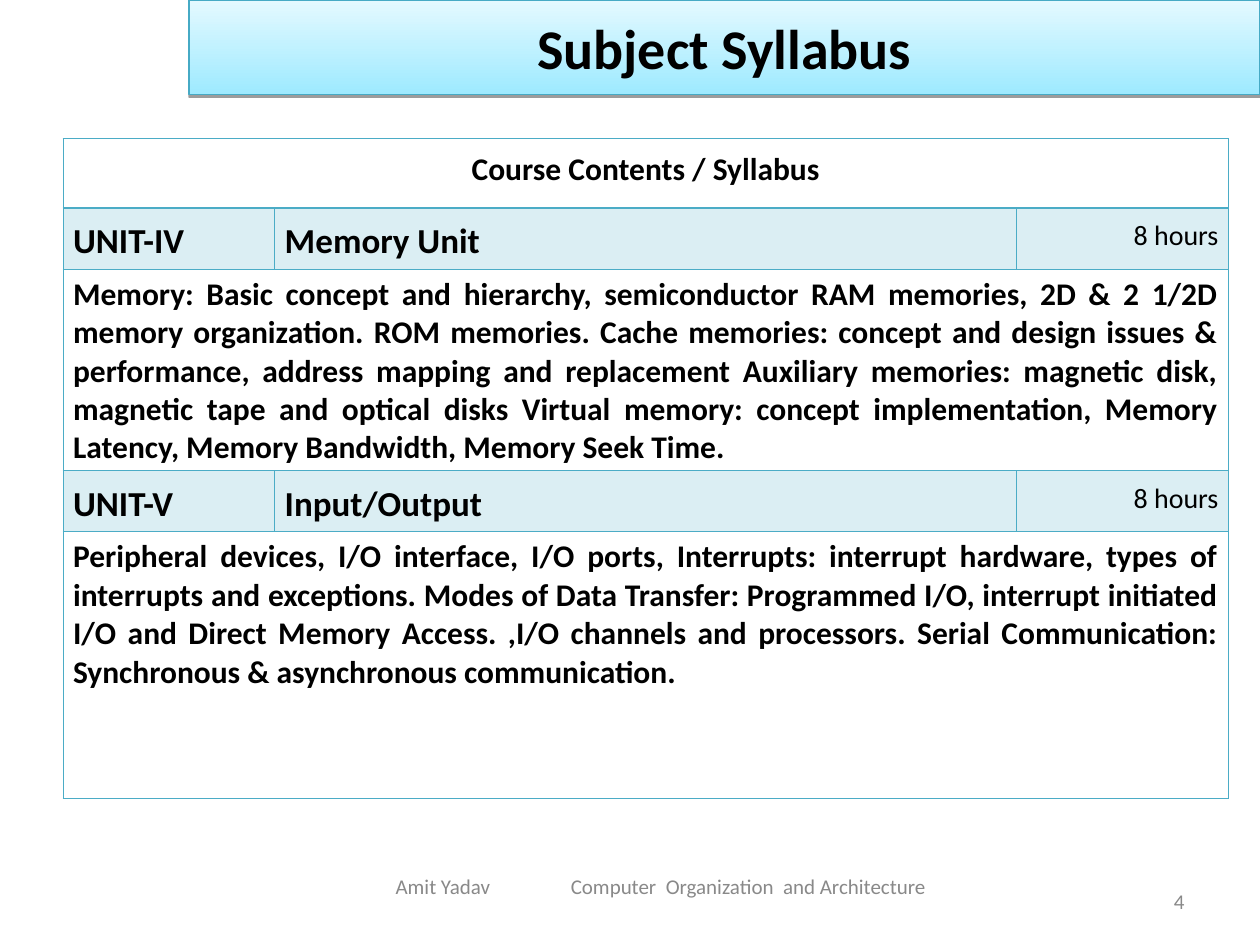
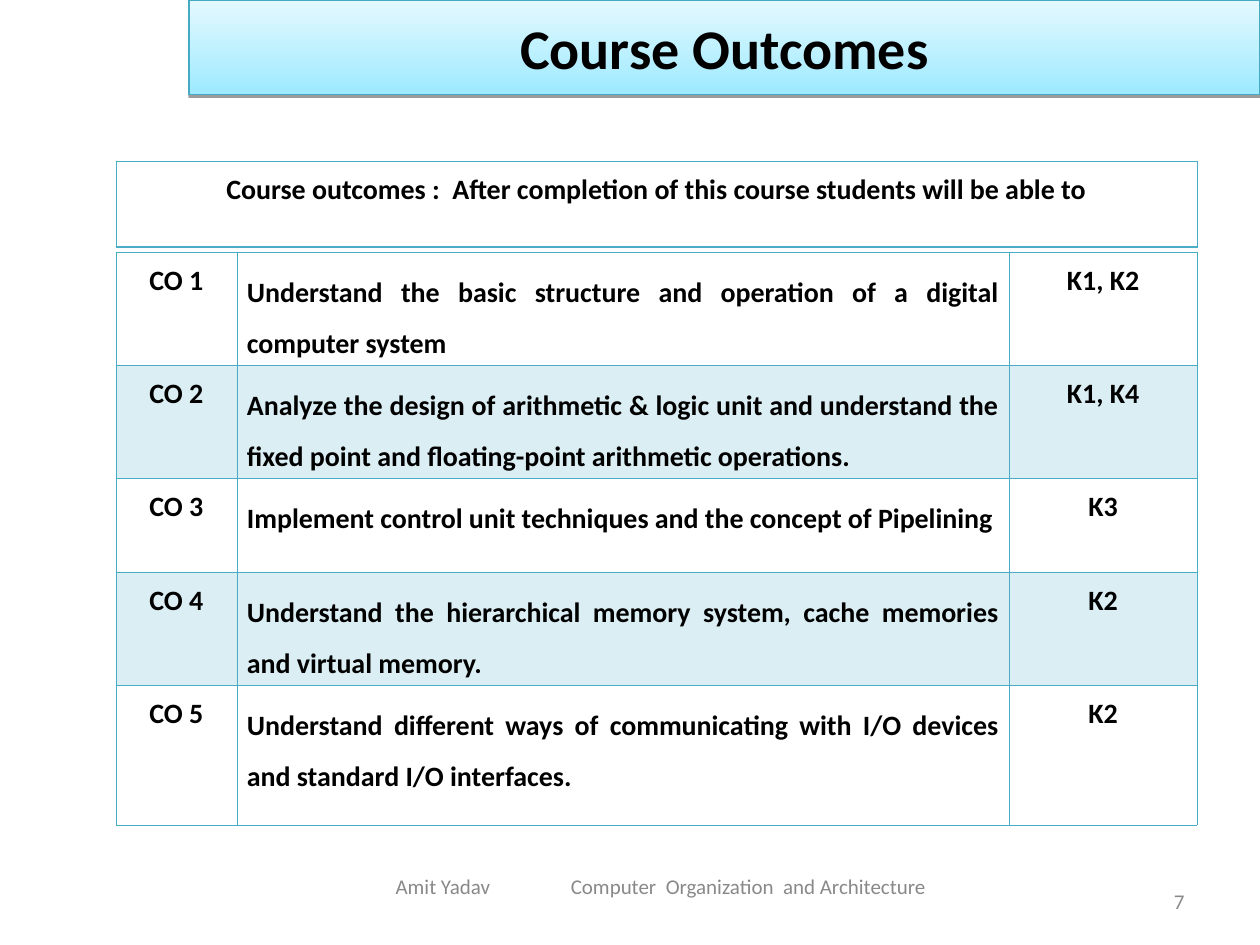
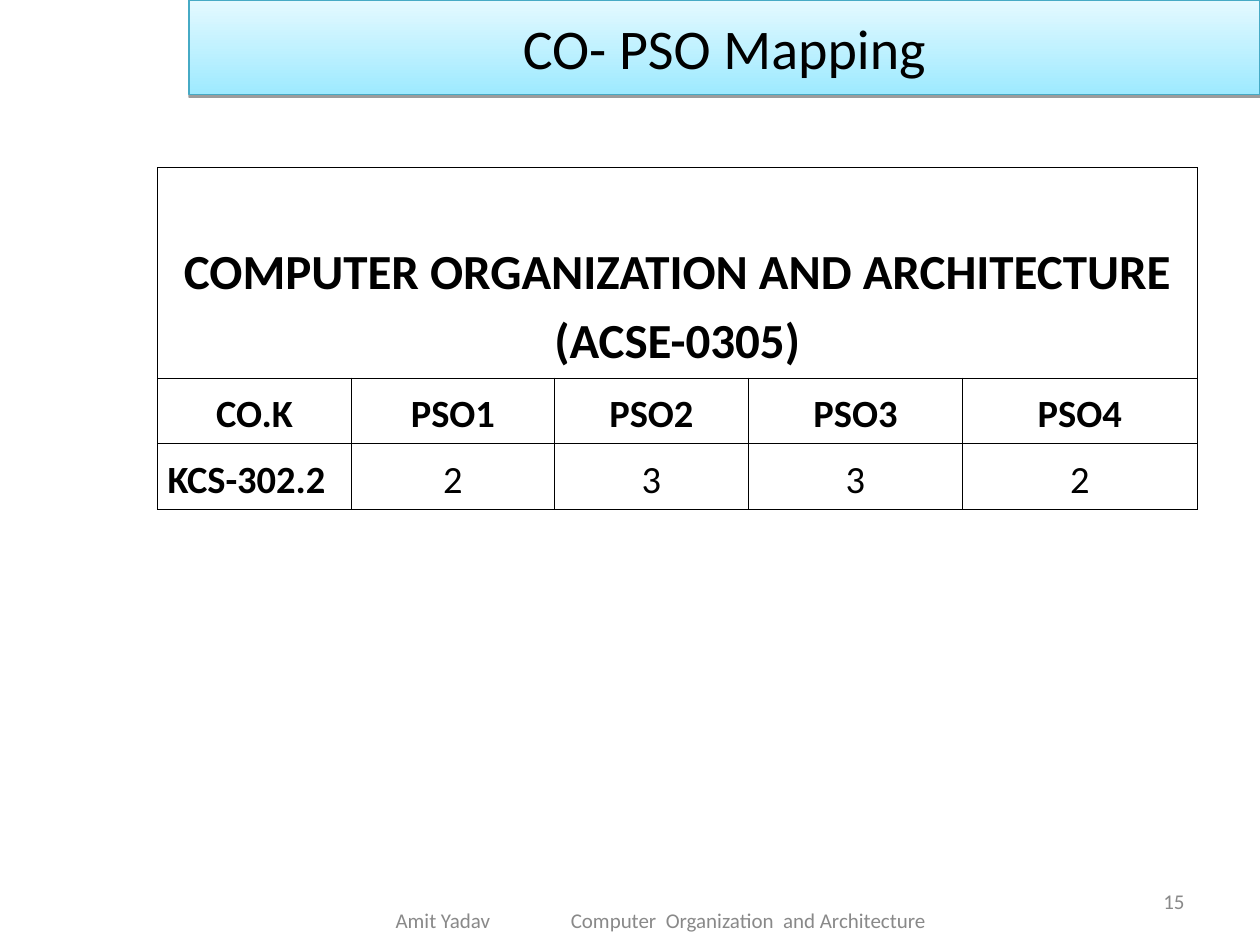
"""Build three syllabus slides that share a title band and a footer."""
from dataclasses import dataclass
from typing import NamedTuple

from lxml.etree import SubElement
from pptx import Presentation
from pptx.dml.color import RGBColor
from pptx.enum.text import MSO_ANCHOR, MSO_AUTO_SIZE, PP_ALIGN
from pptx.oxml.ns import qn
from pptx.util import Emu, Inches, Pt

FONT = "Calibri"
BLACK = "000000"
GREY = "898989"
TEAL = "4BACC6"
BAND_EDGE = "46AAC5"
BAND_DARK = "9EEAFF"
BAND_LIGHT = "E4F9FF"
THIN, THICK = 0.45, 0.96


class Style(NamedTuple):
    size: float
    bold: bool = True
    align: PP_ALIGN = PP_ALIGN.CENTER
    line_spacing: float = 1.15
    space_after: float = 0
    anchor: MSO_ANCHOR = MSO_ANCHOR.TOP
    color: str = BLACK


class Entry(NamedTuple):
    text: str
    style: Style


@dataclass
class Grid:
    left: float
    top: float
    columns: list[float]
    heights: list[float]
    rows: list[list[Entry]]
    shaded: tuple[int, ...] = ()
    border: str = TEAL
    header_line: float = THICK


@dataclass
class Page:
    title: str
    number: str
    grids: list[Grid]
    title_bold: bool = True
    footer_top: float = 6.83


COURSE_HEAD = Style(18)
UNIT = Style(20, align=PP_ALIGN.LEFT)
UNIT_NAME = Style(20, align=PP_ALIGN.JUSTIFY, space_after=10)
HOURS = Style(16, bold=False, align=PP_ALIGN.RIGHT)
TOPICS = Style(18, align=PP_ALIGN.JUSTIFY, line_spacing=1)
OUTCOME_HEAD = Style(16, space_after=12)
CODE = Style(16)
OUTCOME = Style(16, align=PP_ALIGN.JUSTIFY, line_spacing=1.5, space_after=10)
SUBJECT = Style(28, space_after=10, anchor=MSO_ANCHOR.BOTTOM)
PSO = SUBJECT._replace(size=22)
COURSE_CODE = PSO._replace(align=PP_ALIGN.LEFT)
SCORE = Style(22, bold=False, space_after=10)
FOOTER = Style(12, bold=False, align=PP_ALIGN.LEFT, line_spacing=1,
               anchor=MSO_ANCHOR.MIDDLE, color=GREY)
PAGE_NUMBER = FOOTER._replace(align=PP_ALIGN.RIGHT)


def rgb(value: str) -> RGBColor:
    """Turn a hex string into a colour."""
    return RGBColor.from_string(value)


def write(paragraph, text: str, style: Style) -> None:
    """Add one run of text in the given style."""
    paragraph.alignment = style.align
    paragraph.line_spacing = style.line_spacing
    paragraph.space_after = Pt(style.space_after)
    run = paragraph.add_run()
    run.text = text
    run.font.name = FONT
    run.font.size = Pt(style.size)
    run.font.bold = style.bold
    run.font.color.rgb = rgb(style.color)


def add_band(slide, page: Page) -> None:
    """Turn the title placeholder into the gradient band."""
    band = slide.shapes.title
    band.left, band.top = Inches(1.5), Inches(0)
    band.width, band.height = Inches(8.5), Inches(0.75)
    band.fill.gradient()
    band.fill.gradient_angle = 90
    for stop, color in zip(band.fill.gradient_stops, (BAND_DARK, BAND_LIGHT)):
        stop.color.rgb = rgb(color)
    band.line.color.rgb = rgb(BAND_EDGE)
    band.line.width = Pt(0.75)
    effects = SubElement(band.element.spPr, qn("a:effectLst"))
    shadow = SubElement(effects, qn("a:outerShdw"), blurRad="0", dist=str(Pt(1.6)),
                        dir="5400000", rotWithShape="0")
    shade = SubElement(shadow, qn("a:srgbClr"), val=BLACK)
    SubElement(shade, qn("a:alpha"), val="38000")
    frame = band.text_frame
    frame.auto_size = MSO_AUTO_SIZE.NONE
    frame.vertical_anchor = MSO_ANCHOR.MIDDLE
    write(frame.paragraphs[0], page.title, Style(32, page.title_bold, line_spacing=1))


def add_label(slide, left: float, top: float, width: float, style: Style):
    """Add a footer text box and return its frame."""
    frame = slide.shapes.add_textbox(
        Inches(left), Inches(top), Inches(width), Inches(0.4)).text_frame
    frame.word_wrap = True
    frame.vertical_anchor = style.anchor
    return frame


def add_footer(slide, page: Page) -> None:
    """Add the page number, the author and the course name."""
    number = add_label(slide, 7.17, 6.95, 2.33, PAGE_NUMBER)
    write(number.paragraphs[0], page.number, PAGE_NUMBER)
    credit = add_label(slide, 2.5, page.footer_top, 5.5, FOOTER)
    credit.margin_left = Inches(0.64)
    paragraph = credit.paragraphs[0]
    tabs = SubElement(paragraph._p.get_or_add_pPr(), qn("a:tabLst"))
    SubElement(tabs, qn("a:tab"), pos=str(Inches(1.39)), algn="l")
    write(paragraph, "Amit Yadav\tComputer  Organization  and Architecture", FOOTER)


def format_cell(cell, grid: Grid, row: int) -> None:
    """Set the borders, margins and fill of a cell."""
    cell.margin_left = cell.margin_right = Inches(0.08)
    cell.margin_top = cell.margin_bottom = Inches(0.05)
    properties = cell._tc.get_or_add_tcPr()
    widths = {
        "a:lnL": THIN,
        "a:lnR": THIN,
        "a:lnT": grid.header_line if row == 1 else THIN,
        "a:lnB": grid.header_line if row == 0 else THIN,
    }
    for side, width in widths.items():
        line = SubElement(properties, qn(side), w=str(Pt(width)))
        SubElement(SubElement(line, qn("a:solidFill")), qn("a:srgbClr"), val=grid.border)
    if row in grid.shaded:
        cell.fill.solid()
        cell.fill.fore_color.rgb = rgb(TEAL)
        tint = properties.find(qn("a:solidFill")).find(qn("a:srgbClr"))
        SubElement(tint, qn("a:alpha"), val="20000")
    else:
        cell.fill.background()


def add_grid(slide, grid: Grid) -> None:
    """Draw a table; a row with one entry spans all columns."""
    table = slide.shapes.add_table(
        len(grid.rows), len(grid.columns), Inches(grid.left), Inches(grid.top),
        Inches(sum(grid.columns)), Inches(sum(grid.heights))).table
    table.first_row = table.horz_banding = False
    for column, width in zip(table.columns, grid.columns):
        column.width = Inches(width)
    last = len(grid.columns) - 1
    for index, entries in enumerate(grid.rows):
        table.rows[index].height = Inches(grid.heights[index])
        for column in range(last + 1):
            format_cell(table.cell(index, column), grid, index)
        if len(entries) == 1 and last:
            table.cell(index, 0).merge(table.cell(index, last))
        for column, entry in enumerate(entries):
            cell = table.cell(index, column)
            cell.vertical_anchor = entry.style.anchor
            write(cell.text_frame.paragraphs[0], entry.text, entry.style)


def unit_row(unit: str, name: str) -> list[Entry]:
    """Return the heading row of a unit."""
    return [Entry(unit, UNIT), Entry(name, UNIT_NAME), Entry("8 hours", HOURS)]


SYLLABUS = Grid(
    0.5, 1.1, [1.68, 5.89, 1.68], [0.55, 0.4, 1.53, 0.4, 2.12],
    [
        [Entry("Course Contents / Syllabus", COURSE_HEAD)],
        unit_row("UNIT-IV", "Memory Unit"),
        [Entry("Memory: Basic concept and hierarchy, semiconductor RAM memories, "
               "2D & 2 1/2D memory organization. ROM memories. Cache memories: concept "
               "and design issues & performance, address mapping and replacement "
               "Auxiliary memories: magnetic disk, magnetic tape and optical disks "
               "Virtual memory: concept implementation, Memory Latency, Memory "
               "Bandwidth, Memory Seek Time.", TOPICS)],
        unit_row("UNIT-V", "Input/Output"),
        [Entry("Peripheral devices, I/O interface, I/O ports, Interrupts: interrupt "
               "hardware, types of interrupts and exceptions. Modes of Data Transfer: "
               "Programmed I/O, interrupt initiated I/O and Direct Memory Access. ,I/O "
               "channels and processors. Serial Communication: Synchronous & "
               "asynchronous communication.", TOPICS)],
    ],
    shaded=(1, 3),
)

OUTCOMES = [
    ("Understand the basic structure and operation of a digital computer system", "K1, K2"),
    ("Analyze the design of arithmetic & logic unit and understand the fixed point and "
     "floating-point arithmetic operations.", "K1, K4"),
    ("Implement control unit techniques and the concept of Pipelining", "K3"),
    ("Understand the hierarchical memory system, cache memories and virtual memory.", "K2"),
    ("Understand different ways of communicating with I/O devices and standard I/O "
     "interfaces.", "K2"),
]

OUTCOME_GRID = Grid(
    0.92, 2, [0.96, 6.13, 1.49], [0.8, 0.8, 0.74, 0.8, 1.11],
    [[Entry(f"CO {number}", CODE), Entry(outcome, OUTCOME), Entry(levels, CODE)]
     for number, (outcome, levels) in enumerate(OUTCOMES, 1)],
    shaded=(1, 3),
)

OUTCOME_HEADING = Grid(
    0.92, 1.28, [8.58], [0.68],
    [[Entry("Course outcomes :  After completion of this course students will be able to",
            OUTCOME_HEAD)]],
)

PSO_GRID = Grid(
    1.25, 1.33, [1.54, 1.61, 1.54, 1.7, 1.86], [1.67, 0.48, 0.5],
    [
        [Entry("COMPUTER ORGANIZATION AND ARCHITECTURE (ACSE-0305)", SUBJECT)],
        [Entry(head, PSO) for head in ("CO.K", "PSO1", "PSO2", "PSO3", "PSO4")],
        [Entry("KCS-302.2", COURSE_CODE), *(Entry(score, SCORE) for score in "2332")],
    ],
    border=BLACK, header_line=THIN,
)

PAGES = [
    Page("Subject Syllabus", "4", [SYLLABUS]),
    Page("Course Outcomes", "7", [OUTCOME_GRID, OUTCOME_HEADING]),
    Page("CO- PSO Mapping", "15", [PSO_GRID], title_bold=False, footer_top=7.1),
]


def main() -> None:
    """Build every page and save the presentation."""
    deck = Presentation()
    deck.slide_width, deck.slide_height = Emu(Inches(10)), Emu(Inches(7.5))
    for page in PAGES:
        slide = deck.slides.add_slide(deck.slide_layouts[5])
        add_band(slide, page)
        add_footer(slide, page)
        for grid in page.grids:
            add_grid(slide, grid)
    deck.save("out.pptx")


if __name__ == "__main__":
    main()
